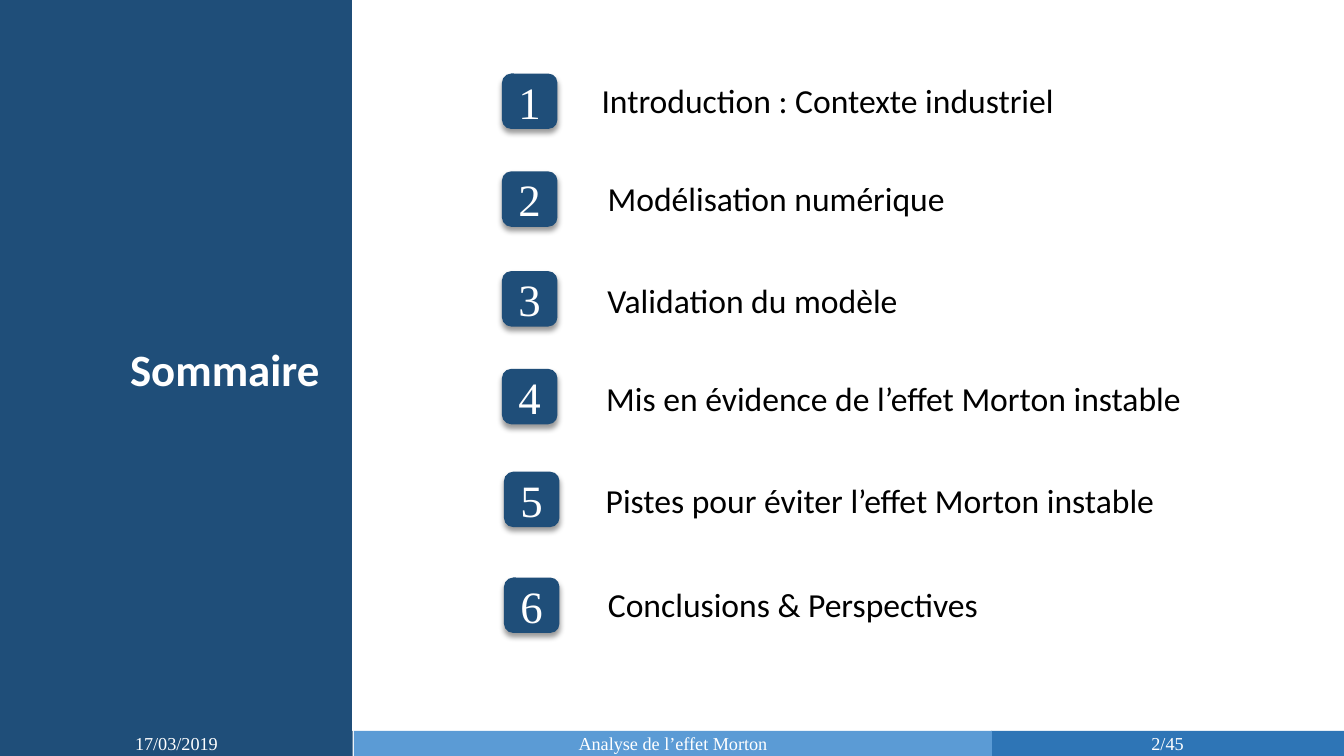
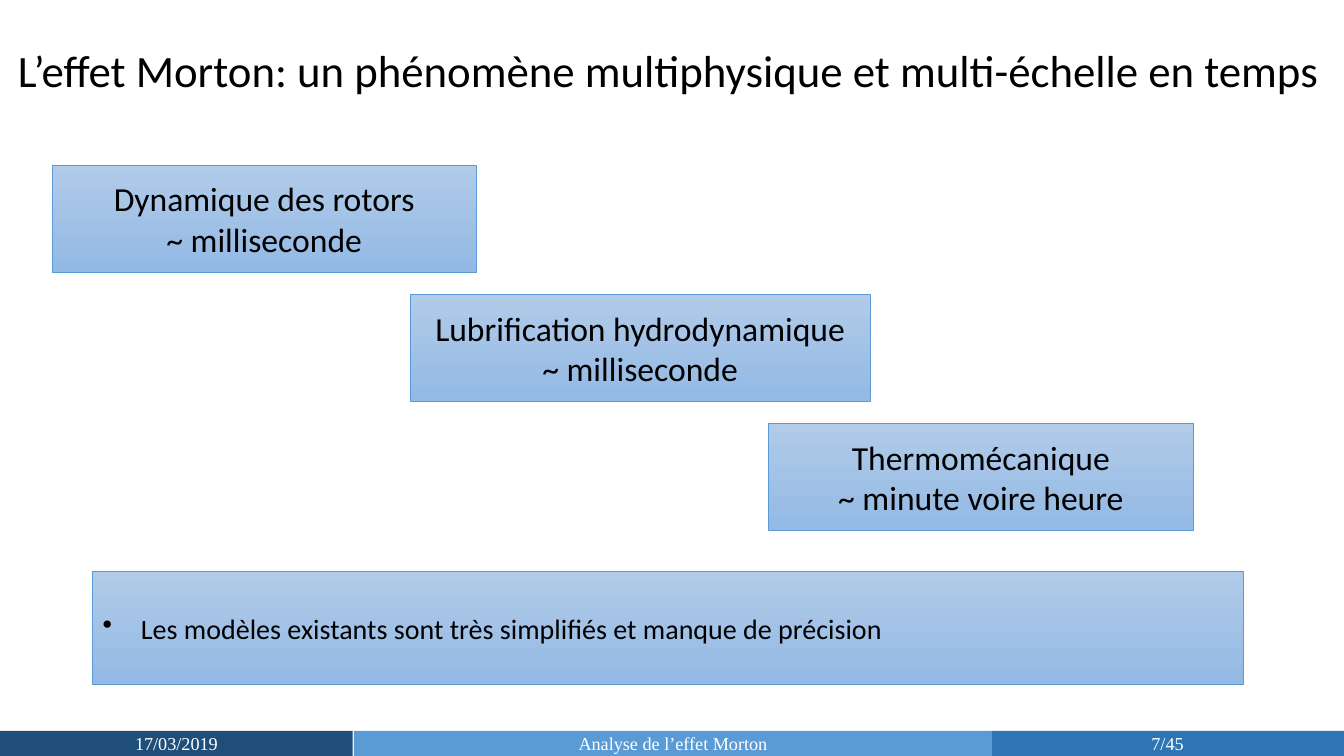
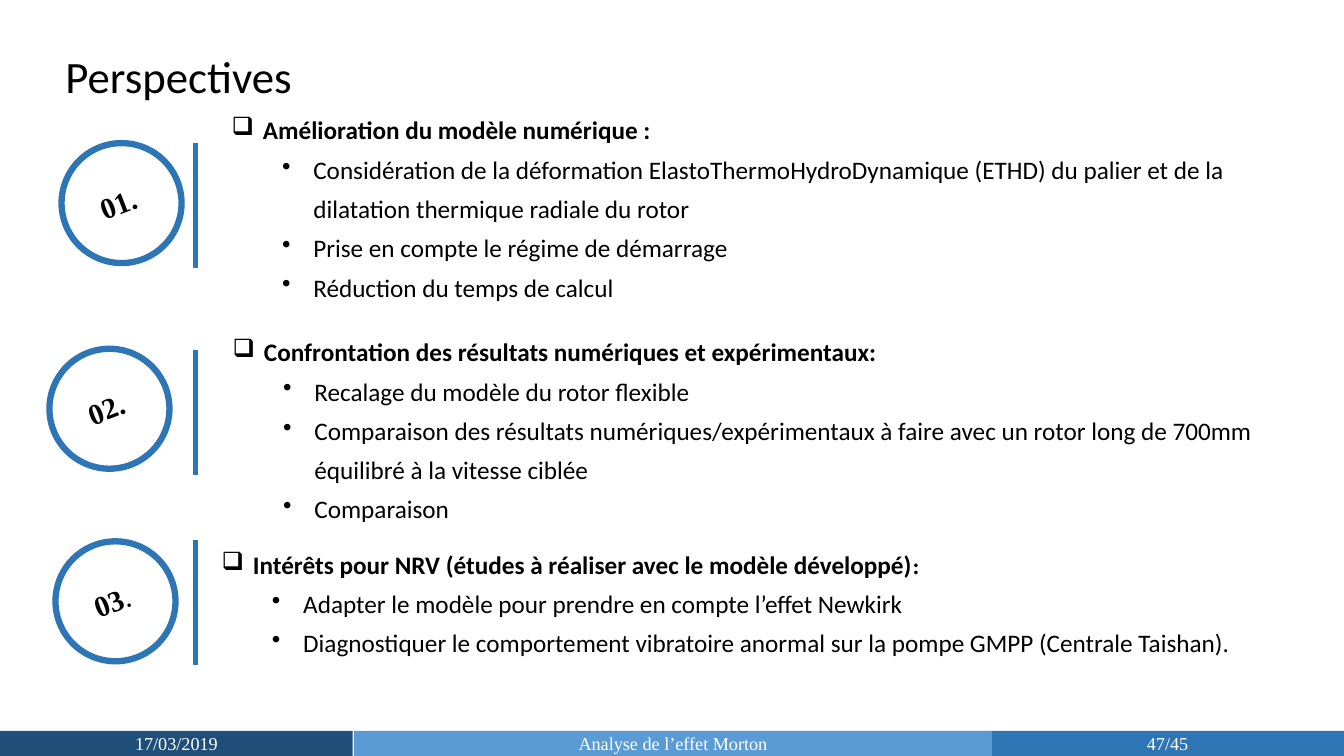
import dataclasses
import typing

import lxml.etree
import pptx
import pptx.dml.color
import pptx.enum.shapes
import pptx.enum.text
import pptx.oxml.ns
import pptx.util

KIND = pptx.enum.shapes.MSO_SHAPE
ALIGN = pptx.enum.text.PP_ALIGN
ANCHOR = pptx.enum.text.MSO_ANCHOR
WIDTH, HEIGHT = pptx.util.Inches(13.33), pptx.util.Inches(7.5)


# Theme: colours, fonts and type sizes
@dataclasses.dataclass(frozen=True)
class Theme:
    navy: str = "1F4E79"
    blue: str = "2E75B6"
    sky: str = "5B9BD5"
    white: str = "FFFFFF"
    black: str = "000000"
    gradient: tuple = ("B1CBE9", "93B9E4")
    sans: str = "Calibri"
    serif: str = "Times New Roman"
    title: int = 32
    label: int = 24
    note: int = 20
    number: int = 21
    body: int = 18
    colon: int = 16
    footer: int = 13


THEME = Theme()


@dataclasses.dataclass(frozen=True)
class Style:
    size: int
    font: str = THEME.sans
    color: str = THEME.black
    bold: bool = False


@dataclasses.dataclass(frozen=True)
class Line:
    runs: tuple  # pairs of text and style
    align: typing.Any = ALIGN.LEFT
    bullet: str = ""
    level: int = 0
    indent: float = 0  # inches
    hang: float = 0  # inches
    spacing: typing.Optional[float] = None


TITLE = Style(THEME.title)
LABEL = Style(THEME.label)
BODY = Style(THEME.body)
HEADING = Style(THEME.body, bold=True)
NUMBER = Style(THEME.number, THEME.serif, bold=True)
BADGE = Style(THEME.title, THEME.serif, THEME.white)
FOOTER = Style(THEME.footer, THEME.serif, THEME.white)


def rgb(color):
    return pptx.dml.color.RGBColor.from_string(color)


def place(left, top, width, height):
    """Turn percentages of the slide's size into lengths."""
    return [round(share * side / 100) for share, side in
            zip((left, top, width, height), (WIDTH, HEIGHT) * 2)]


# Text
def centred(text, style):
    return Line(((text, style),), ALIGN.CENTER)


def apply_style(font, style):
    font.size = pptx.util.Pt(style.size)
    font.name = style.font
    font.bold = style.bold
    font.color.rgb = rgb(style.color)


def add_bullet(paragraph, line):
    properties = paragraph._p.get_or_add_pPr()
    properties.set("marL", str(pptx.util.Inches(line.indent)))
    properties.set("indent", str(-pptx.util.Inches(line.hang)))
    bullet = lxml.etree.SubElement(properties, pptx.oxml.ns.qn("a:buChar"))
    bullet.set("char", line.bullet)


def write(shape, lines):
    frame = shape.text_frame
    for index, line in enumerate(lines):
        paragraph = frame.add_paragraph() if index else frame.paragraphs[0]
        paragraph.alignment = line.align
        paragraph.level = line.level
        if line.spacing:
            paragraph.line_spacing = line.spacing
        if line.bullet:
            add_bullet(paragraph, line)
        same_style = len({style for _, style in line.runs}) == 1
        if same_style:
            apply_style(paragraph.font, line.runs[0][1])
        for text, style in line.runs:
            run = paragraph.add_run()
            run.text = text
            if not same_style:
                apply_style(run.font, style)


def add_text(shapes, box, lines, wrap=False):
    shape = shapes.add_textbox(*place(*box))
    shape.text_frame.word_wrap = wrap
    shape.text_frame.auto_size = pptx.enum.text.MSO_AUTO_SIZE.SHAPE_TO_FIT_TEXT
    write(shape, lines)
    return shape


# Shapes
def add_block(shapes, box, fill, lines=(), kind=KIND.RECTANGLE, line=None, weight=1):
    shape = shapes.add_shape(kind, *place(*box))
    shape.shadow.inherit = False
    if isinstance(fill, tuple):
        shape.fill.gradient()
        shape.fill.gradient_angle = 270
        for stop, color in zip(shape.fill.gradient_stops, fill):
            stop.color.rgb = rgb(color)
    else:
        shape.fill.solid()
        shape.fill.fore_color.rgb = rgb(fill)
    if line:
        shape.line.color.rgb = rgb(line)
        shape.line.width = pptx.util.Pt(weight)
    else:
        shape.line.fill.background()
    shape.text_frame.vertical_anchor = ANCHOR.MIDDLE
    write(shape, lines)
    return shape


def add_card(shapes, box, lines):
    add_block(shapes, box, THEME.gradient, lines, line=THEME.sky, weight=0.5)


def add_drop_shadow(shape):
    effects = shape._element.spPr.find(pptx.oxml.ns.qn("a:effectLst"))
    shadow = lxml.etree.SubElement(
        effects, pptx.oxml.ns.qn("a:outerShdw"), blurRad=str(pptx.util.Pt(4)),
        dist=str(pptx.util.Pt(3)), dir=str(90 * 60000), rotWithShape="0")
    color = lxml.etree.SubElement(shadow, pptx.oxml.ns.qn("a:srgbClr"), val=THEME.black)
    lxml.etree.SubElement(color, pptx.oxml.ns.qn("a:alpha"), val="40000")


def add_badge(shapes, left, top, number):
    badge = add_block(shapes, (left, top, 4.13, 7.33), THEME.navy,
                      [centred(str(number), BADGE)], KIND.ROUNDED_RECTANGLE)
    add_drop_shadow(badge)


def add_ring(shapes, left, top, runs):
    """A circle with a tilted number, grouped."""
    group = shapes.add_group_shape().shapes
    add_block(group, (left, top, 8.93, 15.87), THEME.white,
              kind=KIND.OVAL, line=THEME.blue, weight=4.5)
    number = add_text(group, (left - 0.38, top + 4.93, 9.15, 6),
                      [Line(runs, ALIGN.CENTER)], wrap=True)
    number.rotation = 338.9


def add_topic(shapes, box, heading, points):
    lines = [Line(heading, bullet="❑", indent=0.31, hang=0.31, spacing=1.3)]
    lines += [Line(((point, BODY),), bullet="•", level=1, indent=0.81, hang=0.31,
                   spacing=1.3) for point in points]
    add_text(shapes, box, lines, wrap=True)


def add_footer(shapes, page):
    for left, width, color, text in (
            (73.75, 26.25, THEME.blue, f"{page}/45"),
            (0, 26.25, THEME.navy, "17/03/2019"),
            (26.33, 47.47, THEME.sky, "Analyse de l’effet Morton")):
        add_block(shapes, (left, 96.67, width, 3.33), color, [centred(text, FOOTER)])


# Slides
def build_summary(shapes):
    add_block(shapes, (0, 0, 26.18, 100), THEME.navy, line=THEME.navy)
    add_text(shapes, (8.63, 44.53, 16.2, 8.53),
             [centred("Sommaire", Style(THEME.title, color=THEME.white, bold=True))])
    add_footer(shapes, 2)
    # Badge left and top, then label left, top and width
    chapters = (
        (37.35, 9.73, 43.43, 9.87, 36.3, "Introduction : Contexte industriel"),
        (37.35, 22.67, 44.33, 22.93, 26.85, "Modélisation numérique"),
        (37.35, 35.87, 44.33, 36.4, 23.33, "Validation du modèle"),
        (37.35, 48.8, 44.1, 49.33, 44.78, "Mis en évidence de l’effet Morton instable"),
        (37.5, 62.4, 44.1, 62.8, 42.75, "Pistes pour éviter l’effet Morton instable"),
        (37.5, 76.4, 44.33, 76.53, 29.33, "Conclusions & Perspectives"),
    )
    for number, (badge_left, badge_top, left, top, width, text) in enumerate(chapters, 1):
        add_badge(shapes, badge_left, badge_top, number)
        add_text(shapes, (left, top, width, 6.67), [centred(text, LABEL)])


def build_time_scales(shapes):
    add_footer(shapes, 7)
    title = "L’effet Morton: un phénomène multiphysique et multi-échelle en temps"
    add_text(shapes, (0.6, 4.93, 99.38, 8.53), [Line(((title, TITLE),))])
    # Staircase of physics
    for step, (width, physics, scale) in enumerate((
            (31.58, "Dynamique des rotors", "~ milliseconde"),
            (34.2, "Lubrification hydrodynamique", "~ milliseconde"),
            (31.58, "Thermomécanique", "~ minute voire heure"))):
        add_card(shapes, (3.87 + 26.66 * step, 21.87 + 17.07 * step, width, 14.13),
                 [centred(physics, LABEL), centred(scale, LABEL)])
    remark = "Les modèles existants sont très simplifiés et manque de précision"
    add_card(shapes, (6.9, 75.6, 85.65, 14.93),
             [Line(((remark, Style(THEME.note)),), bullet="•", indent=0.38, hang=0.38)])


def build_outlook(shapes):
    add_footer(shapes, 47)
    # Ring position and number, bar top, text box, heading, points
    topics = (
        ((4.58, 18.93), (("01.", NUMBER),), 18.93, (16.5, 13.33, 79.65, 27.47),
         (("Amélioration du modèle numérique :", HEADING),),
         ("Considération de la déformation ElastoThermoHydroDynamique (ETHD) du palier "
          "et de la dilatation thermique radiale du rotor",
          "Prise en compte le régime de démarrage",
          "Réduction du temps de calcul")),
        ((3.68, 46.13), (("02.", NUMBER),), 46.4, (16.58, 42.67, 79.58, 27.47),
         (("Confrontation des résultats numériques et expérimentaux:", HEADING),),
         ("Recalage du modèle du rotor flexible",
          "Comparaison des résultats numériques/expérimentaux à faire avec un rotor long "
          "de 700mm équilibré à la vitesse ciblée",
          "Comparaison")),
        ((4.13, 71.6), (("03", NUMBER), (".", Style(THEME.number))), 71.47,
         (15.75, 70.8, 78.15, 22.13),
         (("Intérêts pour NRV (études à réaliser avec le modèle développé)", HEADING),
          (":", Style(THEME.colon, THEME.serif, bold=True))),
         ("Adapter le modèle pour prendre en compte l’effet Newkirk",
          "Diagnostiquer le comportement vibratoire anormal sur la pompe GMPP "
          "(Centrale Taishan).")),
    )
    for ring, number, bar_top, box, heading, points in topics:
        add_ring(shapes, *ring, number)
        add_block(shapes, (14.4, bar_top, 0.3, 16.4), THEME.blue,
                  line=THEME.blue, weight=0.75)
        add_topic(shapes, box, heading, points)
    add_text(shapes, (4.13, 5.73, 34.28, 8.53),
             [Line((("Perspectives", TITLE),))], wrap=True)


def main():
    presentation = pptx.Presentation()
    presentation.slide_width, presentation.slide_height = WIDTH, HEIGHT
    for build in (build_summary, build_time_scales, build_outlook):
        slide = presentation.slides.add_slide(presentation.slide_layouts[6])
        build(slide.shapes)
    presentation.save("out.pptx")


if __name__ == "__main__":
    main()
